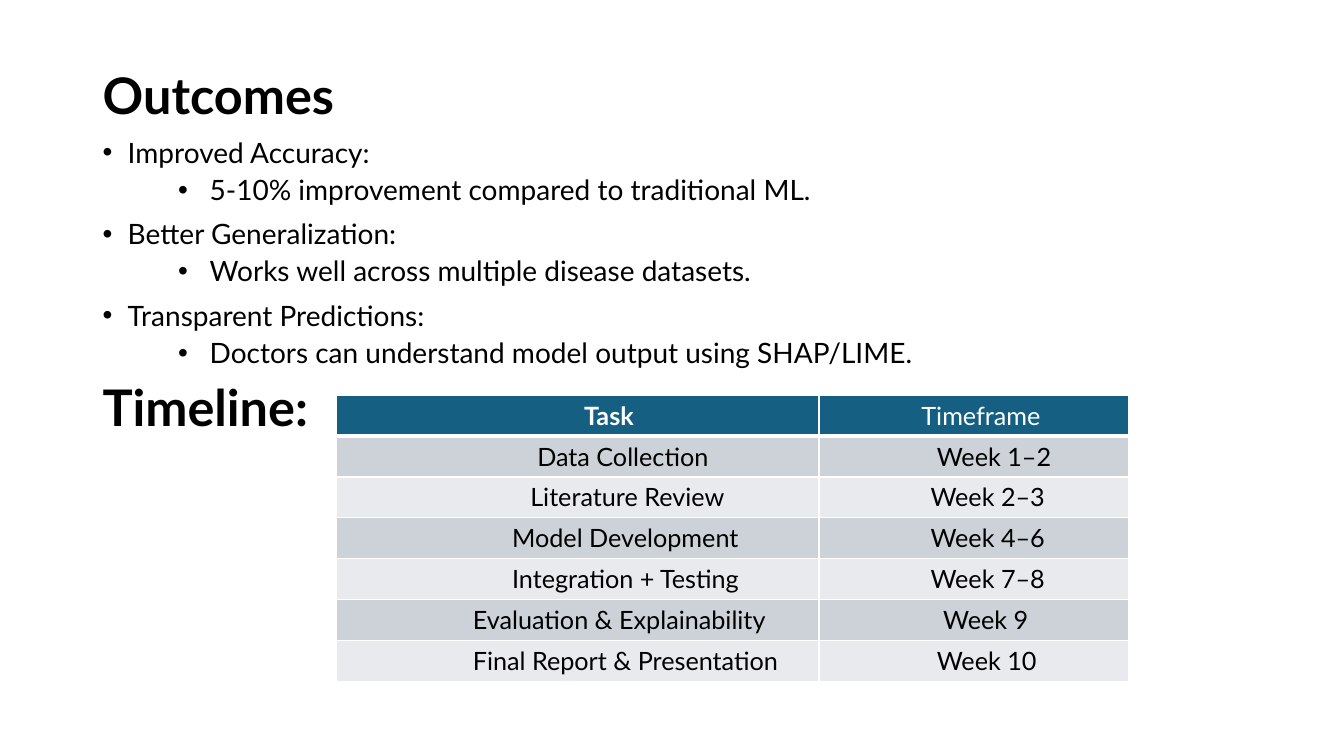
"""Build the project outcomes and timeline slide."""
from dataclasses import dataclass

from lxml import etree
from pptx import Presentation
from pptx import util as u
from pptx.dml.color import RGBColor
from pptx.enum import text
from pptx.oxml import ns


@dataclass(frozen=True)
class Theme:
    font: str = "Lato"
    black: str = "000000"
    white: str = "FFFFFF"
    header: str = "156082"
    bands: tuple = ("CCD2D8", "E8EAED")
    heading_size: int = 36
    body_size: int = 20
    table_size: int = 18


theme = Theme()


def style(para, size, color=theme.black, bold=False):
    para.alignment = text.PP_ALIGN.LEFT
    para.font.name = theme.font
    para.font.size = u.Pt(size)
    para.font.bold = bold
    para.font.color.rgb = RGBColor.from_string(color)


def place(box, left, top, width, height):
    box.left, box.top, box.width, box.height = map(u.Pt, (left, top, width, height))
    frame = box.text_frame
    frame.word_wrap = True
    frame.auto_size = text.MSO_AUTO_SIZE.NONE
    frame.vertical_anchor = text.MSO_ANCHOR.TOP
    frame.margin_left = frame.margin_right = u.Pt(7.2)
    frame.margin_top = frame.margin_bottom = u.Pt(3.6)
    return frame


deck = Presentation()
deck.slide_width, deck.slide_height = u.Pt(960), u.Pt(540)
page = deck.slides.add_slide(deck.slide_layouts[5])

timeline_box = page.shapes.add_textbox(0, 0, 0, 0)
headings = [
    (page.shapes.title, "Outcomes", 46.8, 828),
    (timeline_box, "Timeline:", 270.3, 172),
]
for box, label, top, width in headings:
    para = place(box, 66.2, top, width, 48).paragraphs[0]
    para.text = label
    para.line_spacing = 0.9
    para.space_before = u.Pt(0)
    style(para, theme.heading_size, bold=True)

outcomes = [
    ("Improved Accuracy:", "5-10% improvement compared to traditional ML."),
    ("Better Generalization:", "Works well across multiple disease datasets."),
    ("Transparent Predictions:", "Doctors can understand model output using SHAP/LIME."),
]
levels = [(18, 18, 10), (76.5, 22.5, 5)]
outcomes_frame = place(page.shapes.add_textbox(0, 0, 0, 0), 66.2, 95.7, 828, 174)
for index, outcome in enumerate(outcomes):
    for level, line in enumerate(outcome):
        first = index == level == 0
        para = outcomes_frame.paragraphs[0] if first else outcomes_frame.add_paragraph()
        para.text = line
        para.level = level
        margin, hanging, before = levels[level]
        para.line_spacing = 0.9
        para.space_before = u.Pt(0 if first else before)
        props = para._p.get_or_add_pPr()
        props.set("marL", str(u.Pt(margin)))
        props.set("indent", str(-u.Pt(hanging)))
        etree.SubElement(props, ns.qn("a:buFont"), typeface="Arial")
        etree.SubElement(props, ns.qn("a:buChar"), char="•")
        style(para, theme.body_size)

schedule = [
    (("Task", 169.5), ("Timeframe", 66)),
    (("Data Collection", 136), ("Week 1–2", 77)),
    (("Literature Review", 131), ("Week 2–3", 72.5)),
    (("Model Development", 118), ("Week 4–6", 72.5)),
    (("Integration + Testing", 118), ("Week 7–8", 72.5)),
    (("Evaluation & Explainability", 90), ("Week 9", 81.5)),
    (("Final Report & Presentation", 90), ("Week 10", 77)),
]
column_widths = (344.4, 221)
row_height = 29.2
table = page.shapes.add_table(
    len(schedule), len(column_widths), u.Pt(240.6), u.Pt(282.3),
    u.Pt(sum(column_widths)), u.Pt(row_height * len(schedule))).table
for column, width in zip(table.columns, column_widths):
    column.width = u.Pt(width)

for row_index, entries in enumerate(schedule):
    table.rows[row_index].height = u.Pt(row_height)
    is_header = row_index == 0
    fill = theme.header if is_header else theme.bands[(row_index - 1) % 2]
    for column_index, (label, indent) in enumerate(entries):
        cell = table.cell(row_index, column_index)
        cell.text = label
        cell.margin_left = u.Pt(7.2 + indent)
        style(cell.text_frame.paragraphs[0], theme.table_size,
              theme.white if is_header else theme.black,
              is_header and column_index == 0)
        props = cell._tc.get_or_add_tcPr()
        for side in "LRTB":
            under_header = (row_index, side) in ((0, "B"), (1, "T"))
            border = etree.SubElement(props, ns.qn(f"a:ln{side}"),
                                      w=str(u.Pt(3 if under_header else 1)))
            solid = etree.SubElement(border, ns.qn("a:solidFill"))
            etree.SubElement(solid, ns.qn("a:srgbClr"), val=theme.white)
        cell.fill.solid()
        cell.fill.fore_color.rgb = RGBColor.from_string(fill)

deck.save("out.pptx")
